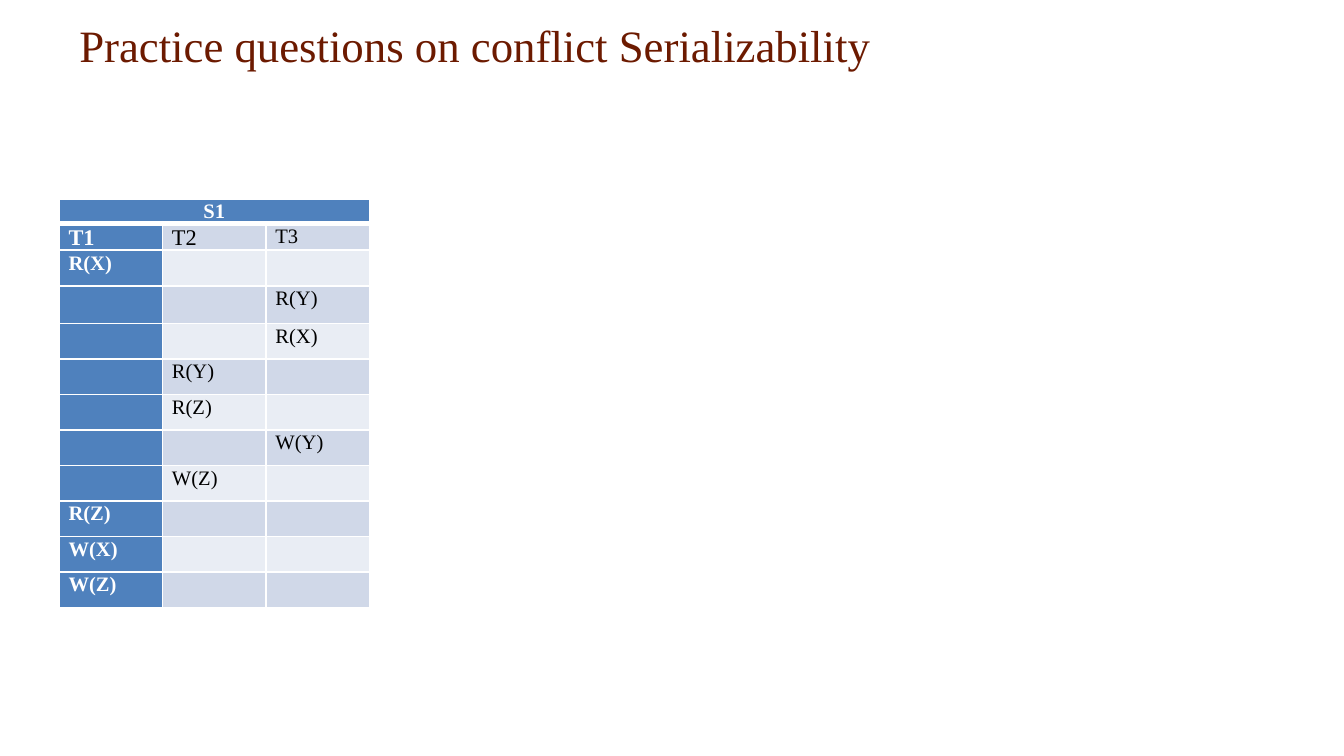
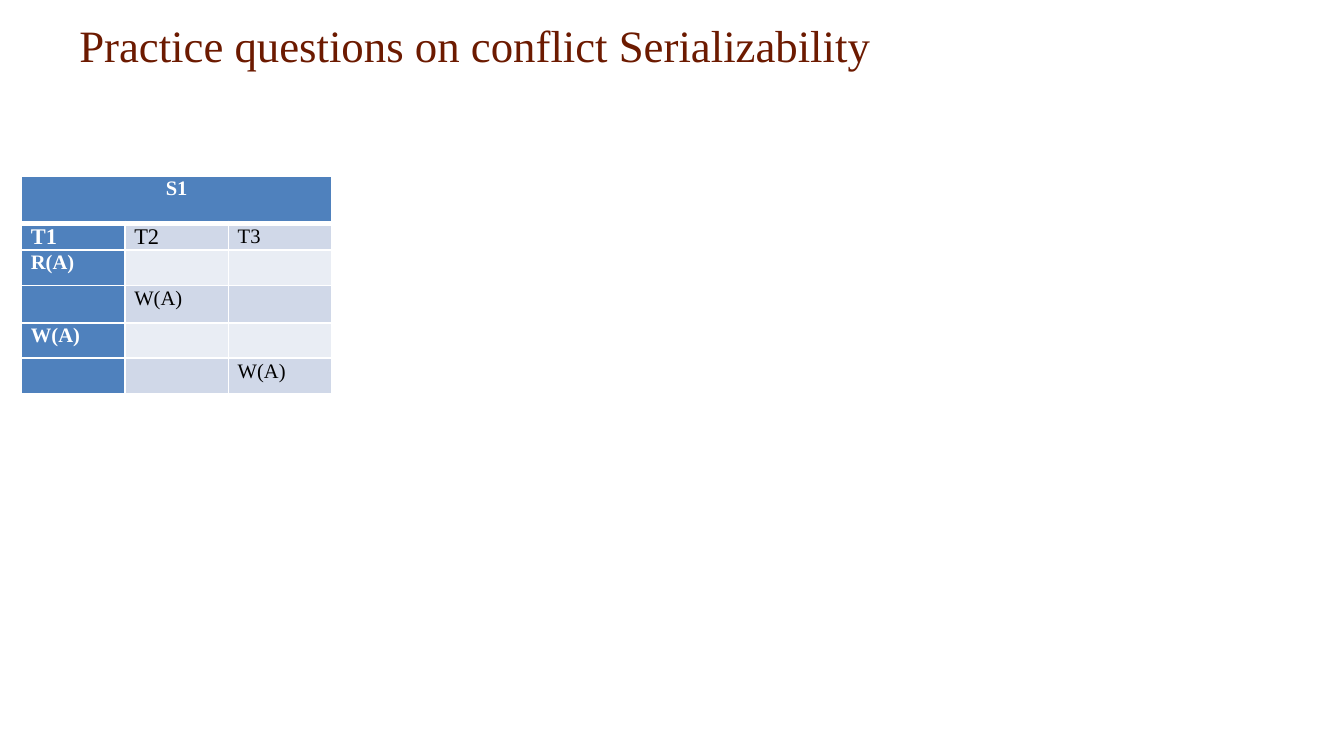
from lxml.etree import SubElement
from pptx import Presentation
from pptx.dml.color import RGBColor
from pptx.enum.text import MSO_ANCHOR, MSO_AUTO_SIZE, PP_ALIGN
from pptx.oxml.ns import qn
from pptx.util import Inches, Pt

FONT = "Times New Roman"
MAROON = "6C1A00"
BLUE = "4F81BD"
BANDS = ("D0D8E8", "E9EDF4")
WHITE = "FFFFFF"
BLACK = "000000"
TITLE = "Practice questions on conflict Serializability"
COL_W = 0.77
NAMES_H = 0.2
SECOND_STEP_H = 0.28


def rgb(value):
    return RGBColor.from_string(value)


def write(p, text, size=11, color=BLACK, bold=False, align=PP_ALIGN.LEFT):
    p.alignment = align
    if text:
        r = p.add_run()
        r.text = text
        r.font.name = FONT
        r.font.size = Pt(size)
        r.font.bold = bold
        r.font.color.rgb = rgb(color)
    else:
        SubElement(p._p, qn("a:endParaRPr"), sz=str(size * 100))


def add_title(s, text):
    sp = s.shapes.title
    sp.left, sp.top, sp.width, sp.height = map(Inches, (0.49, 0.08, 9.02, 0.5))
    tf = sp.text_frame
    tf.word_wrap = True
    tf.auto_size = MSO_AUTO_SIZE.NONE
    tf.vertical_anchor = MSO_ANCHOR.MIDDLE
    write(tf.paragraphs[0], text, size=24, color=MAROON)


def set_borders(cell, top=1, bottom=1):
    tcPr = cell._tc.get_or_add_tcPr()
    for side, width in (("L", 1), ("R", 1), ("T", top), ("B", bottom)):
        ln = SubElement(tcPr, qn(f"a:ln{side}"), w=str(Pt(width)))
        fill = SubElement(ln, qn("a:solidFill"))
        SubElement(fill, qn("a:srgbClr"), val=WHITE)


def format_cell(cell, text, row, col):
    heading = row == 0
    key = heading or col == 0
    if not cell.is_spanned:
        set_borders(cell, top=3 if row == 1 else 1, bottom=3 if heading else 1)
    cell.fill.solid()
    cell.fill.fore_color.rgb = rgb(BLUE if key else BANDS[(row - 1) % 2])
    cell.margin_left = cell.margin_right = Inches(0.07)
    cell.margin_top = cell.margin_bottom = 0
    p = cell.text_frame.paragraphs[0]
    if text:
        p.line_spacing = 1.07
        p.space_after = Pt(8)
    write(p, text, size=12 if row == 1 and col < 2 else 11,
          color=WHITE if key else BLACK, bold=key,
          align=PP_ALIGN.CENTER if heading else PP_ALIGN.LEFT)


def add_schedule(s, left, top, height, heading_h, steps):
    rows = [("S1", "", ""), ("T1", "T2", "T3")]
    for transaction, action in steps:
        rows.append([action if i == transaction else "" for i in (1, 2, 3)])
    frame = s.shapes.add_table(len(rows), 3, Inches(left), Inches(top),
                               Inches(3 * COL_W), Inches(height))
    table = frame.table
    table.cell(0, 0).merge(table.cell(0, 2))
    step_h = (height - heading_h - NAMES_H - SECOND_STEP_H) / (len(steps) - 1)
    heights = [heading_h, NAMES_H, step_h, SECOND_STEP_H]
    heights += [step_h] * (len(steps) - 2)
    for column in table.columns:
        column.width = Inches(COL_W)
    for i, texts in enumerate(rows):
        table.rows[i].height = Inches(heights[i])
        for j, text in enumerate(texts):
            format_cell(table.cell(i, j), text, i, j)


def add_question(prs, **schedule):
    s = prs.slides.add_slide(prs.slide_layouts[5])
    add_title(s, TITLE)
    add_schedule(s, **schedule)


def main():
    prs = Presentation()
    prs.slide_width = Inches(10)
    prs.slide_height = Inches(10) * 9 // 16
    add_question(prs, left=0.44, top=1.48, height=3.04, heading_h=0.18, steps=[
        (1, "R(X)"), (3, "R(Y)"), (3, "R(X)"), (2, "R(Y)"), (2, "R(Z)"),
        (3, "W(Y)"), (2, "W(Z)"), (1, "R(Z)"), (1, "W(X)"), (1, "W(Z)")])
    add_question(prs, left=0.16, top=1.31, height=1.62, heading_h=0.35, steps=[
        (1, "R(A)"), (2, "W(A)"), (1, "W(A)"), (3, "W(A)")])
    prs.save("out.pptx")


if __name__ == "__main__":
    main()
